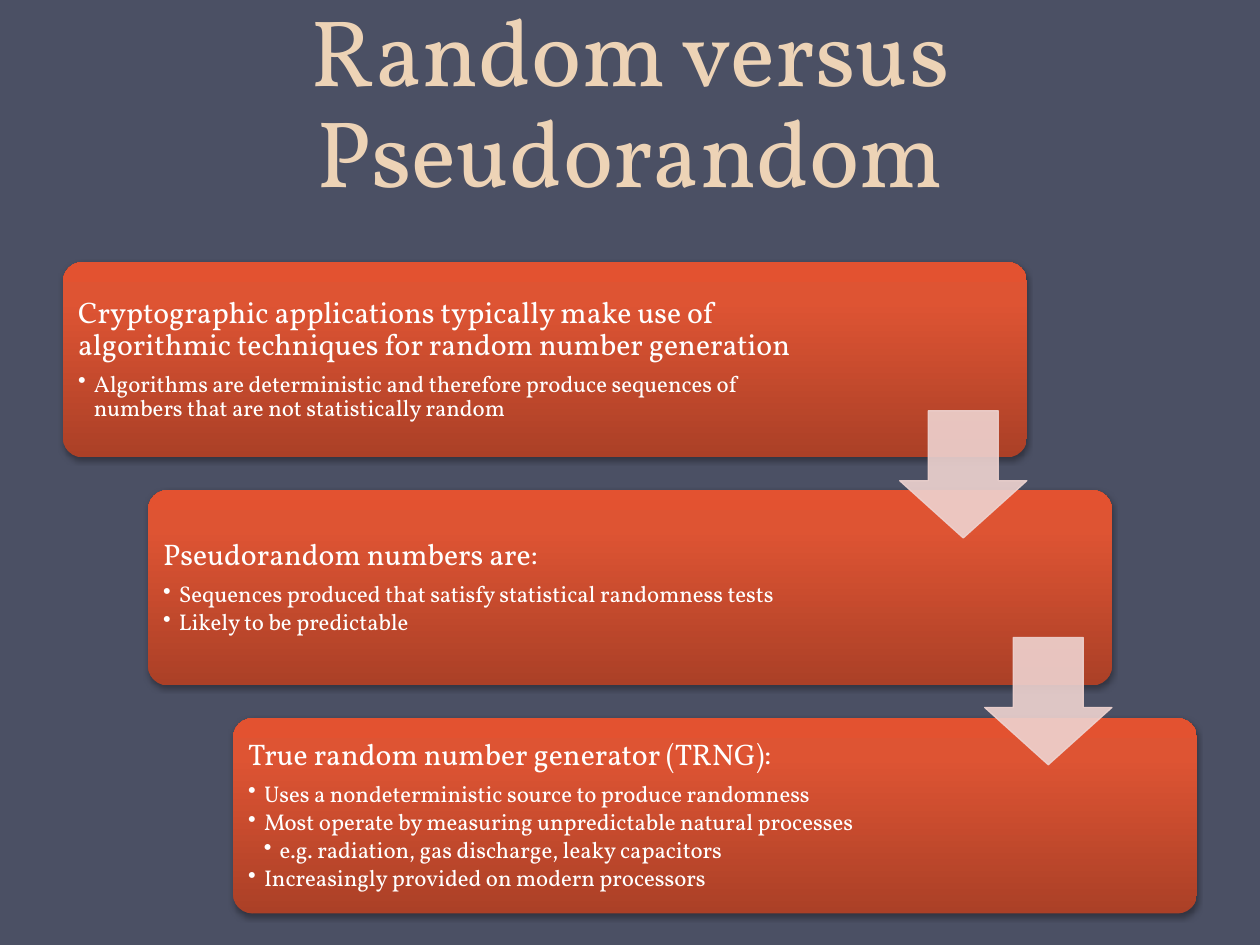
from copy import deepcopy

from lxml.etree import SubElement
from pptx import Presentation
from pptx.dml.color import RGBColor
from pptx.enum.shapes import MSO_SHAPE
from pptx.enum.text import MSO_ANCHOR, MSO_AUTO_SIZE, PP_ALIGN
from pptx.oxml.ns import qn
from pptx.util import Inches, Pt

FONT = "Vollkorn"
SLATE = RGBColor(0x4B, 0x50, 0x64)
SAND = RGBColor(0xED, 0xD3, 0xB6)
WHITE = RGBColor(0xFF, 0xFF, 0xFF)
PINK = RGBColor(0xEE, 0xD3, 0xD0)
GRADIENT = [
    (0, RGBColor(0xAB, 0x40, 0x27)),
    (0.8, RGBColor(0xDE, 0x54, 0x33)),
    (1, RGBColor(0xE3, 0x52, 0x30)),
]

# Each step: text width, heading, (bullet level, bullet text)
STEPS = [
    (5.98, "Cryptographic applications typically make use of algorithmic "
           "techniques for random number generation",
     [(1, "Algorithms are deterministic and therefore produce sequences of "
          "numbers that are not statistically random")]),
    (5.88, "Pseudorandom numbers are:",
     [(1, "Sequences produced that satisfy statistical randomness tests"),
      (1, "Likely to be predictable")]),
    (5.88, "True random number generator (TRNG):",
     [(1, "Uses a nondeterministic source to produce randomness"),
      (1, "Most operate by measuring unpredictable natural processes"),
      (2, "e.g. radiation, gas discharge, leaky capacitors"),
      (1, "Increasingly provided on modern processors")]),
]
LEFT, TOP, STEP_X, STEP_Y = 0.5, 2.08, 0.675, 1.81
CARD_W, CARD_H, INSET, ARROW = 7.65, 1.55, 0.05, 1.01


def style_card(card):
    """Give a card its three-stop gradient and soft shadow."""
    card.line.fill.background()
    card.fill.gradient()
    card.fill.gradient_angle = 90
    stops = card._element.spPr.find(qn("a:gradFill")).find(qn("a:gsLst"))
    stops.append(deepcopy(stops[-1]))
    for stop, (position, color) in zip(card.fill.gradient_stops, GRADIENT):
        stop.position = position
        stop.color.rgb = color
    card.shadow.inherit = False
    effects = card._element.spPr.find(qn("a:effectLst"))
    shadow = SubElement(effects, qn("a:outerShdw"), blurRad=str(Pt(3.1)),
                        dist=str(Pt(1.8)), dir="5400000", rotWithShape="0")
    black = SubElement(shadow, qn("a:srgbClr"), val="000000")
    SubElement(black, qn("a:alpha"), val="35000")


def format_paragraph(p, size, space_after):
    p.line_spacing = 0.9
    p.space_after = Pt(space_after)
    p.alignment = PP_ALIGN.LEFT
    for r in p.runs:
        r.font.name = FONT
        r.font.size = Pt(size)
        r.font.color.rgb = WHITE


prs = Presentation()
prs.slide_width, prs.slide_height = Inches(10), Inches(7.5)
s = prs.slides.add_slide(prs.slide_layouts[5])
s.background.fill.solid()
s.background.fill.fore_color.rgb = SLATE

title = s.shapes.title
title.left, title.top = Inches(0), Inches(0.44)
title.width, title.height = Inches(10), Inches(1.25)
tf = title.text_frame
tf.text = "Random versus Pseudorandom"
tf.word_wrap = True
tf.auto_size = MSO_AUTO_SIZE.NONE
tf.vertical_anchor = MSO_ANCHOR.BOTTOM
p = tf.paragraphs[0]
p.alignment = PP_ALIGN.CENTER
p.line_spacing = Pt(58)
r = p.runs[0]
r.font.name = FONT
r.font.size = Pt(54)
r.font.color.rgb = SAND

for i, (text_width, heading, bullets) in enumerate(STEPS):
    x, y = LEFT + i * STEP_X, TOP + i * STEP_Y
    card = s.shapes.add_shape(MSO_SHAPE.ROUNDED_RECTANGLE, Inches(x), Inches(y),
                              Inches(CARD_W), Inches(CARD_H))
    card.adjustments[0] = 0.1
    style_card(card)

    box = s.shapes.add_textbox(Inches(x + INSET), Inches(y + INSET),
                               Inches(text_width), Inches(CARD_H - 2 * INSET))
    tf = box.text_frame
    tf.word_wrap = True
    tf.vertical_anchor = MSO_ANCHOR.MIDDLE
    tf.margin_left = tf.margin_right = Inches(0.07)
    tf.margin_top = tf.margin_bottom = Inches(0.07)
    tf.text = heading
    format_paragraph(tf.paragraphs[0], 17, 6)
    for level, text in bullets:
        p = tf.add_paragraph()
        p.text = text
        p.level = level
        pPr = p._p.get_or_add_pPr()
        pPr.set("marL", str(Inches(0.125 * level)))
        pPr.set("indent", str(-Inches(0.125)))
        SubElement(pPr, qn("a:buChar"), char="•")
        format_paragraph(p, 13, 2)

for i in range(len(STEPS) - 1):
    x = LEFT + CARD_W - ARROW + i * STEP_X
    arrow = s.shapes.add_shape(MSO_SHAPE.DOWN_ARROW, Inches(x),
                               Inches(3.26 + i * 1.8), Inches(ARROW), Inches(ARROW))
    arrow.adjustments[0], arrow.adjustments[1] = 0.55, 0.45
    arrow.shadow.inherit = False
    arrow.line.width = Pt(0.75)
    for fill in (arrow.fill, arrow.line.fill):
        fill.solid()
        fill.fore_color.rgb = PINK
    for color in arrow._element.spPr.iter(qn("a:srgbClr")):
        SubElement(color, qn("a:alpha"), val="90000")

prs.save("out.pptx")
